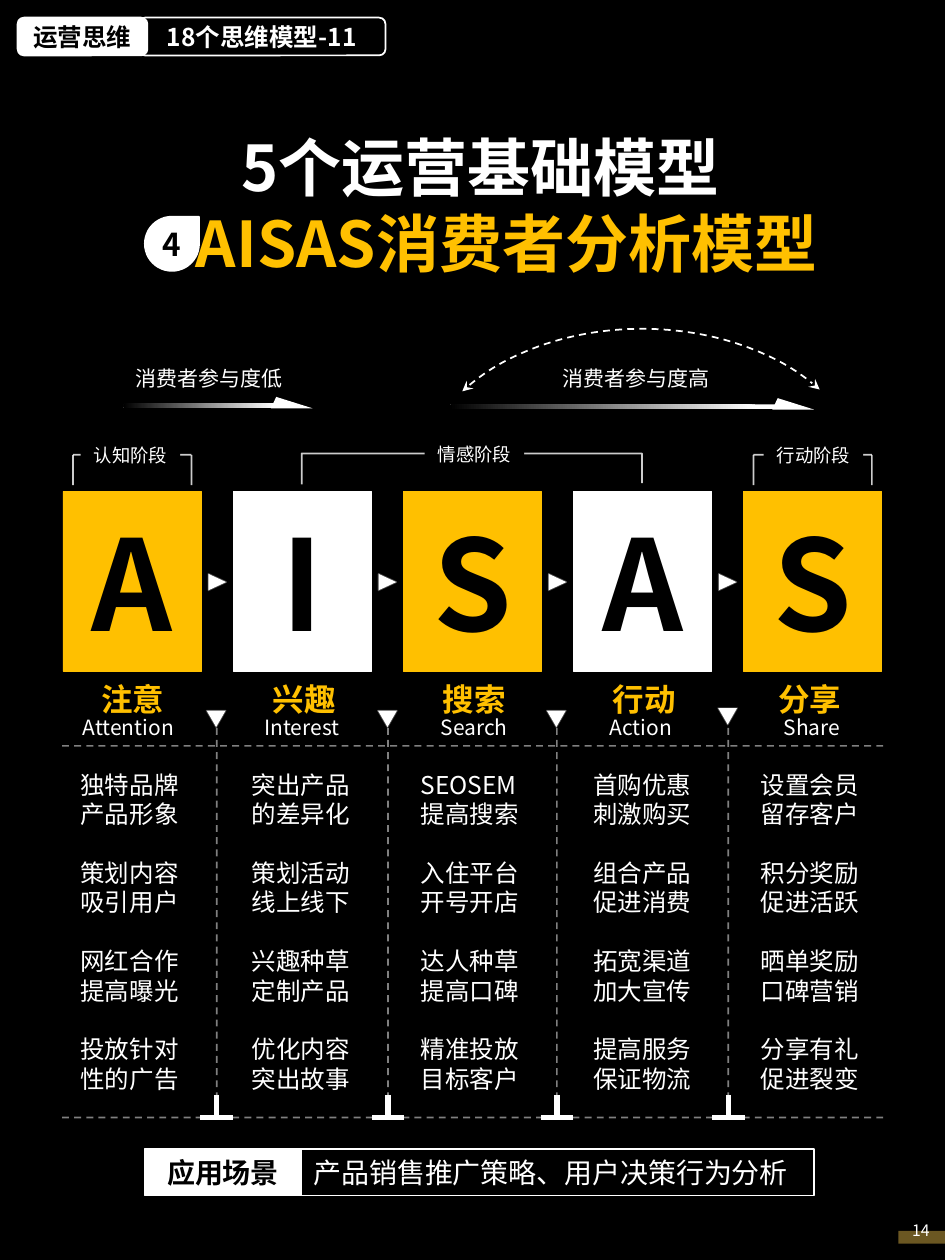
from lxml.etree import SubElement
from pptx import Presentation
from pptx.dml.color import RGBColor
from pptx.enum.dml import MSO_LINE
from pptx.enum.shapes import MSO_CONNECTOR as LINK, MSO_SHAPE as KIND
from pptx.enum.text import MSO_ANCHOR as ANCHOR, PP_ALIGN as ALIGN
from pptx.oxml.ns import qn
from pptx.util import Inches, Pt

HUES = {"black": "000000", "white": "FFFFFF", "gold": "FFC000", "brown": "6B5722"}
FACE = "Noto Sans CJK SC"
TITLE = [("5个运营基础模型", "white"), ("AISAS消费者分析模型", "gold")]
STEPS = [
    ("A", "注意", "Attention", 0.7, 0.56, 0.96),
    ("I", "兴趣", "Interest", 2.06, 2.0, 0.81),
    ("S", "搜索", "Search", 3.41, 3.4, 0.74),
    ("A", "行动", "Action", 4.76, 4.74, 0.72),
    ("S", "分享", "Share", 6.07, 6.12, 0.65),
]
TIPS = [
    (0.54, ["独特品牌|产品形象", "策划内容吸引用户", "网红合作提高曝光", "投放针对性的广告"]),
    (1.9, ["突出产品的差异化", "策划活动|线上线下", "兴趣种草|定制产品", "优化内容突出故事"]),
    (3.24, ["SEOSEM提高搜索", "入住平台|开号开店", "达人种草|提高口碑", "精准投放目标客户"]),
    (4.61, ["首购优惠|刺激购买", "组合产品促进消费", "拓宽渠道|加大宣传", "提高服务保证物流"]),
    (5.94, ["设置会员|留存客户", "积分奖励|促进活跃", "晒单奖励|口碑营销", "分享有礼|促进裂变"]),
]
STAGES = [("认知阶段", 0.64, 3.48), ("情感阶段", 3.37, 3.47), ("行动阶段", 6.06, 3.48)]
LEVELS = [
    ("消费者参与度低", 0.96, 1.38, ALIGN.RIGHT, 0.98, 3.2, 1.31, 2.15),
    ("消费者参与度高", 4.37, 1.4, ALIGN.LEFT, 3.57, 3.21, 2.65, 6.13),
]
SPLITS = [1.72, 3.08, 4.42, 5.78]

deck = Presentation()
deck.slide_width, deck.slide_height = Inches(7.5), Inches(10)
slide = deck.slides.add_slide(deck.slide_layouts[5])
items = slide.shapes


def hue(name):
    """Return the colour for a name."""
    return RGBColor.from_string(HUES[name])


def paint(fill, name):
    """Fill solid, or clear the fill."""
    if name:
        fill.solid()
        fill.fore_color.rgb = hue(name)
    else:
        fill.background()


def write(para, text, size, tint, bold=False, align=ALIGN.LEFT):
    """Add one styled run to a paragraph."""
    para.alignment = align
    para.line_spacing = Pt(size * 1.2)
    run = para.add_run()
    run.text = text
    font = run.font
    font.name, font.size, font.bold = FACE, Pt(size), bold
    font.color.rgb = hue(tint)
    SubElement(run._r.get_or_add_rPr(), qn("a:ea")).set("typeface", FACE)


def label(text, box, size, tint="white", bold=False, align=ALIGN.LEFT):
    """Add a single-line text box."""
    frame = items.add_textbox(*map(Inches, box)).text_frame
    frame.word_wrap = False
    write(frame.paragraphs[0], text, size, tint, bold, align)


def block(kind, box, fill=None, edge=None, width=1, turn=0, text=None,
          size=14, tint="black", bold=True, align=ALIGN.CENTER, inset=0.1):
    """Add a preset shape with optional text."""
    shape = items.add_shape(kind, *map(Inches, box))
    shape.shadow.inherit = False
    shape.rotation = turn
    paint(shape.fill, fill)
    paint(shape.line.fill, edge)
    if edge:
        shape.line.width = Pt(width)
    if text:
        frame = shape.text_frame
        frame.word_wrap, frame.vertical_anchor = False, ANCHOR.MIDDLE
        frame.margin_left = Inches(inset)
        write(frame.paragraphs[0], text, size, tint, bold, align)
    return shape


def fade(line, share):
    """Set the opacity of a line in percent."""
    tone = line.fill._xPr.find(qn("a:solidFill"))[0]
    SubElement(tone, qn("a:alpha")).set("val", str(share * 1000))


def rule(x1, y1, x2, y2, width=1, share=100, dash=False, kind=LINK.STRAIGHT):
    """Add a white connector."""
    link = items.add_connector(kind, *map(Inches, (x1, y1, x2, y2)))
    paint(link.line.fill, "white")
    link.line.width = Pt(width)
    fade(link.line, share)
    if dash:
        link.line.dash_style = MSO_LINE.DASH
    SubElement(link._element.spPr, qn("a:effectLst"))
    return link


def head():
    """Place the background, title and tags."""
    paint(slide.background.fill, "black")
    title = items.title
    title.left, title.top, title.width, title.height = map(Inches, (0.71, 0.97, 6.21, 1.31))
    frame = title.text_frame
    frame.word_wrap, frame.vertical_anchor = True, ANCHOR.TOP
    for i, (text, tint) in enumerate(TITLE):
        para = frame.add_paragraph() if i else frame.paragraphs[0]
        write(para, text, 36, tint, True, ALIGN.CENTER)
    para._p.get_or_add_pPr().set("marL", str(Inches(0.41)))
    block(KIND.TEAR, (1.15, 1.72, 0.43, 0.43), "white", "white", text="4", size=18)
    block(KIND.ROUNDED_RECTANGLE, (1.1, 0.14, 1.96, 0.3), None, "white",
          text="18个思维模型-11", tint="white", align=ALIGN.LEFT, inset=0.21)
    block(KIND.ROUNDED_RECTANGLE, (0.14, 0.14, 1.03, 0.3), "white", "white", text="运营思维")


def levels():
    """Draw the fading arrows and the dashed arc."""
    for text, x, w, align, bar, y, span, tip in LEVELS:
        label(text, (x, 2.85, w, 0.3), 12, align=align)
        shaft = block(KIND.ROUNDED_RECTANGLE, (bar, y, span, 0.04))
        shaft.adjustments[0] = 0.5
        shaft.fill.gradient()
        shaft.fill.gradient_angle = 180
        for stop, spot, tint in zip(shaft.fill.gradient_stops, (0.08, 1), ("white", "black")):
            stop.position, stop.color.rgb = spot, hue(tint)
        point = block(KIND.ISOSCELES_TRIANGLE, (tip, y - 0.05, 0.33, 0.09), "white")
        point.adjustments[0] = 0.13
    arc = block(KIND.ARC, (3.3, 2.61, 3.59, 2.53), None, "white")
    arc.adjustments[0], arc.adjustments[1] = 124.99, 198.58
    arc.line.dash_style = MSO_LINE.DASH
    for end in ("a:headEnd", "a:tailEnd"):
        SubElement(arc.line._ln, qn(end)).set("type", "stealth")


def stages():
    """Draw the stage brackets and their labels."""
    for x in (0.58, 5.98):
        rule(x, 3.61, x + 0.94, 3.61, share=80)
        for side in (x, x + 0.94):
            rule(side, 3.61, side, 3.85, share=80)
    link = rule(3.75, 5.19, 3.74, 2.49, share=80, kind=LINK.ELBOW)
    link._element.spPr.find(qn("a:xfrm")).set("rot", "5400000")
    guide = SubElement(link._element.spPr.prstGeom.get_or_add_avLst(), qn("a:gd"))
    guide.set("name", "adj1")
    guide.set("fmla", "val 2500000")
    for text, x, y in STAGES:
        block(KIND.RECTANGLE, (x, y, 0.79, 0.27), "black",
              text=text, size=10.5, tint="white", bold=False)


def steps():
    """Place the letter cards, names and tips."""
    for i, (letter, name, word, left, x, w) in enumerate(STEPS):
        tint = "white" if i % 2 else "gold"
        block(KIND.RECTANGLE, (0.5 + 1.35 * i, 3.9, 1.1, 1.43), tint, tint, 0.5,
              text=letter, size=72)
        label(name, (left, 5.35, 0.71, 0.4), 18, "gold", True, ALIGN.CENTER)
        label(word, (x, 5.62, w, 0.3), 12)
    for x, groups in TIPS:
        frame = items.add_textbox(*map(Inches, (x, 6.06, 1, 2.69))).text_frame
        frame.word_wrap = True
        para = None
        for group in groups:
            for j, text in enumerate(group.split("|")):
                gap = para is not None and j == 0
                para = frame.add_paragraph() if para is not None else frame.paragraphs[0]
                write(para, text, 14, "white")
                para.space_before = Pt(16.8 if gap else 0)


def grid():
    """Draw the dashed grid, markers and feet."""
    for y in (5.92, 8.87):
        rule(7.01, y, 0.48, y, share=50, dash=True)
    for i, x in enumerate(SPLITS):
        rule(x, 5.68, x, 8.87, share=50, dash=True)
        rule(x, 8.69, x, 8.85, 3)
        rule(x + 0.13, 8.87, x - 0.13, 8.87, 3)
        for box, turn in (((1.66 + 1.35 * i, 4.55, 0.13, 0.14), 90),
                          ((x - 0.08, 5.62 if i == 3 else 5.64, 0.15, 0.13), 180)):
            mark = block(KIND.ISOSCELES_TRIANGLE, box, "white", "white", turn=turn)
            fade(mark.line, 27)


def foot():
    """Place the use case and page number."""
    block(KIND.RECTANGLE, (2.39, 9.12, 4.07, 0.37), None, "white", 0.75,
          text="产品销售推广策略、用户决策行为分析", size=16, tint="white",
          bold=False, align=ALIGN.LEFT)
    block(KIND.RECTANGLE, (1.15, 9.12, 1.24, 0.37), "white", "white", 0.75,
          text="应用场景", size=16)
    block(KIND.RECTANGLE, (7.13, 9.77, 0.37, 0.1), "brown")
    label("14", (7.14, 9.64, 0.36, 0.25), 9)


for part in (head, levels, steps, stages, grid, foot):
    part()
deck.save("out.pptx")
